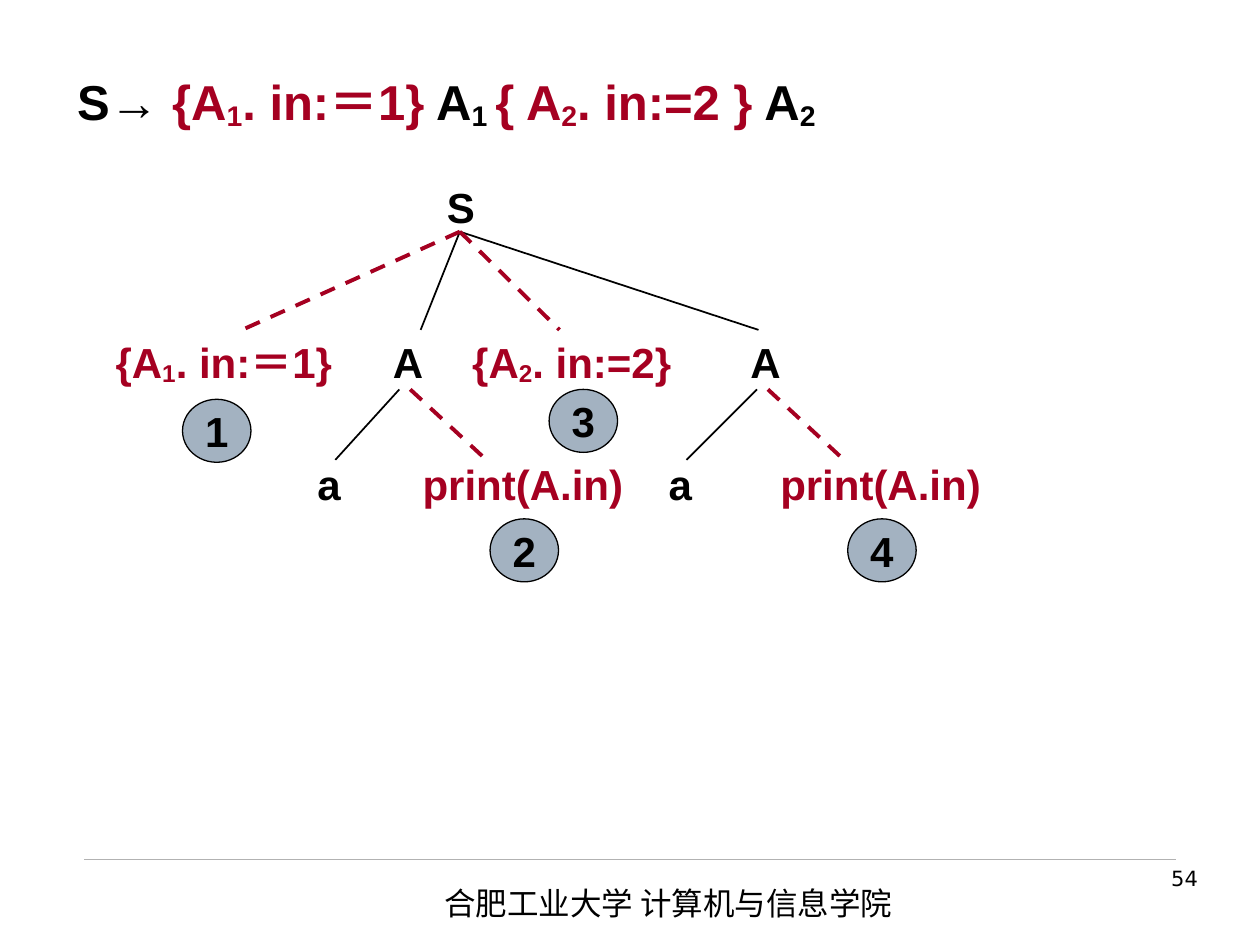
from dataclasses import dataclass

import pptx
import pptx.dml.color
import pptx.enum.dml
import pptx.enum.shapes
import pptx.enum.text
import pptx.oxml.ns
import pptx.util
from lxml import etree

Cm = pptx.util.Cm
Align = pptx.enum.text.PP_ALIGN
Anchor = pptx.enum.text.MSO_ANCHOR


@dataclass(frozen=True)
class Theme:
    ink: str = "000000"
    action: str = "A50021"
    badge: str = "A3B2C1"
    rule: str = "B2B2B2"
    latin: str = "Arial"
    chinese: str = "Noto Sans CJK SC"
    number: str = "DejaVu Sans"
    title_size: int = 28
    node_size: int = 24
    footer_size: int = 18
    number_size: int = 12


def color(value):
    return pptx.dml.color.RGBColor.from_string(value)


class TreeSlide:
    """Holds the theme and the slide that is being drawn."""

    def __init__(self, deck, theme):
        self.theme = theme
        self.slide = deck.slides.add_slide(deck.slide_layouts[5])

    def fill_text(self, box, spans, size, font=None, align=Align.LEFT,
                  anchor=Anchor.TOP, bold=True):
        """Fill a box with spans of (text, colour, baseline in percent)."""
        frame = box.text_frame
        frame.word_wrap = True
        frame.auto_size = pptx.enum.text.MSO_AUTO_SIZE.NONE
        frame.vertical_anchor = anchor
        para = frame.paragraphs[0]
        para.alignment = align
        for text, ink, baseline in spans:
            span = para.add_run()
            span.text = text
            span.font.size = pptx.util.Pt(size)
            span.font.bold = bold
            span.font.name = font or self.theme.latin
            span.font.color.rgb = color(ink)
            properties = span._r.get_or_add_rPr()
            if baseline:
                properties.set("baseline", str(baseline * 1000))
            east_asian = etree.Element(pptx.oxml.ns.qn("a:ea"),
                                       typeface=self.theme.chinese)
            properties.find(pptx.oxml.ns.qn("a:latin")).addnext(east_asian)

    def title(self, left, top, width, height, spans):
        box = self.slide.shapes.title
        box.left, box.top, box.width, box.height = map(Cm, (left, top, width, height))
        self.fill_text(box, spans, self.theme.title_size)

    def text(self, left, top, width, height, spans, size=None, **style):
        box = self.slide.shapes.add_textbox(*map(Cm, (left, top, width, height)))
        self.fill_text(box, spans, size or self.theme.node_size, **style)

    def line(self, start, end, ink, width, dashed=False):
        line = self.slide.shapes.add_connector(
            pptx.enum.shapes.MSO_CONNECTOR.STRAIGHT, *map(Cm, (*start, *end)))
        line.line.color.rgb = color(ink)
        line.line.width = pptx.util.Pt(width)
        if dashed:
            line.line.dash_style = pptx.enum.dml.MSO_LINE.DASH
        etree.SubElement(line._element.spPr, pptx.oxml.ns.qn("a:effectLst"))

    def branch(self, start, end):
        self.line(start, end, self.theme.ink, 1)

    def action_branch(self, start, end):
        self.line(start, end, self.theme.action, 2.25, dashed=True)

    def badge(self, left, top, step):
        circle = self.slide.shapes.add_shape(
            pptx.enum.shapes.MSO_SHAPE.OVAL, *map(Cm, (left, top, 1.38, 1.27)))
        circle.shadow.inherit = False
        circle.fill.solid()
        circle.fill.fore_color.rgb = color(self.theme.badge)
        circle.line.color.rgb = color(self.theme.ink)
        circle.line.width = pptx.util.Pt(0.75)
        self.fill_text(circle, [(step, self.theme.ink, 0)], self.theme.node_size,
                       align=Align.CENTER, anchor=Anchor.MIDDLE)
        circle.text_frame.word_wrap = False

    def subtree(self, left, terminal_left, step):
        """Draw a node A with its terminal a, its print action and the step badge."""
        ink, action = self.theme.ink, self.theme.action
        self.text(left, 6.65, 1.5, 1.27, [("A", ink, 0)])
        self.text(terminal_left, 9.12, 1.63, 1.27, [("a", ink, 0)])
        self.text(left + 0.6, 9.12, 4.8, 1.27, [("print(A.in)", action, 0)])
        self.branch((left + 0.38, 7.85), (terminal_left + 0.61, 9.27))
        self.action_branch((left + 0.6, 7.85), (left + 2.22, 9.35))
        self.badge(left + 2.21, 10.46, step)


def main():
    theme = Theme()
    ink, action = theme.ink, theme.action
    deck = pptx.Presentation()
    deck.slide_width, deck.slide_height = Cm(25.4), Cm(19.05)
    page = TreeSlide(deck, theme)

    page.title(1.3, 1.32, 19.4, 1.47, [
        ("S→ ", ink, 0),
        ("{A", action, 0), ("1", action, -12), (". in:＝1}", action, 0),
        (" A", ink, 0), ("1 ", ink, -12),
        ("{ A", action, 0), ("2", action, -12), (". in:=2 }", action, 0),
        (" A", ink, 0), ("2", ink, -12),
    ])

    page.text(8.76, 3.53, 1.37, 1.27, [("S", ink, 0)])
    root = (9.27, 4.67)
    for child_x in (8.48, 15.29):
        page.branch(root, (child_x, 6.65))
    for child_x in (4.88, 11.28):
        page.action_branch(root, (child_x, 6.65))

    for left, width, index, assignment in ((2.08, 5.41, "1", ". in:＝1}"),
                                           (9.27, 4.8, "2", ". in:=2}")):
        page.text(left, 6.65, width, 1.3, [
            ("{A", action, 0), (index, action, -11), (assignment, action, 0)])
    page.badge(3.68, 8.05, "1")
    page.badge(11.07, 7.85, "3")
    page.subtree(7.67, 6.15, "2")
    page.subtree(14.88, 13.23, "4")

    page.line((1.7, 17.32), (23.7, 17.32), theme.rule, 0.25)
    page.text(8.71, 17.7, 13.2, 1.02, [("合肥工业大学 计算机与信息学院", ink, 0)],
              theme.footer_size, font=theme.chinese, bold=False)
    page.text(18.9, 17.32, 5.5, 1.32, [("54", ink, 0)],
              theme.number_size, font=theme.number, align=Align.RIGHT, bold=False)
    deck.save("out.pptx")


if __name__ == "__main__":
    main()
